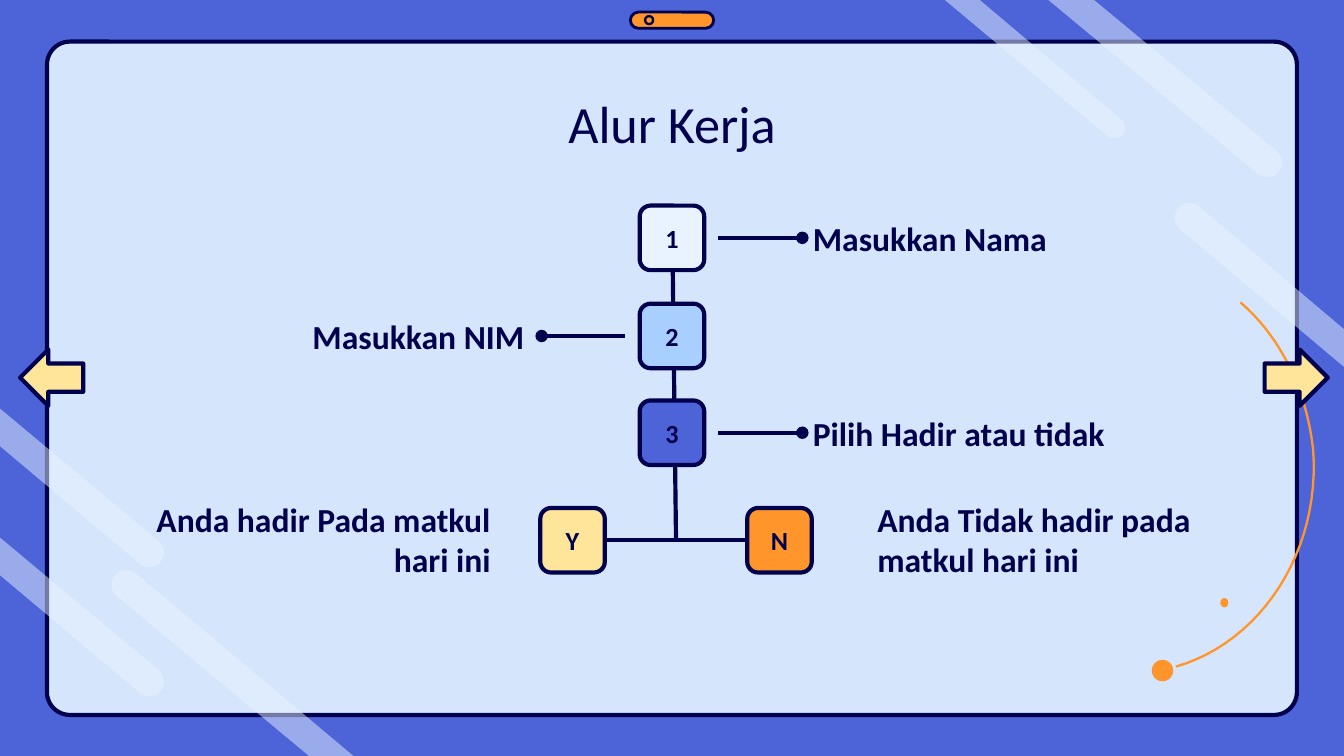
from dataclasses import dataclass
from math import cos, radians, sin

from lxml import etree
from pptx import Presentation
from pptx.dml.color import RGBColor
from pptx.enum.shapes import MSO_CONNECTOR, MSO_SHAPE
from pptx.enum.text import MSO_ANCHOR, PP_ALIGN
from pptx.oxml.ns import qn
from pptx.util import Inches, Pt

ROUNDED, OVAL = MSO_SHAPE.ROUNDED_RECTANGLE, MSO_SHAPE.OVAL
LEFT_ARROW, RIGHT_ARROW = MSO_SHAPE.LEFT_ARROW, MSO_SHAPE.RIGHT_ARROW
STRAIGHT = MSO_CONNECTOR.STRAIGHT
LEFT, CENTER, RIGHT = PP_ALIGN.LEFT, PP_ALIGN.CENTER, PP_ALIGN.RIGHT
TOP, MIDDLE = MSO_ANCHOR.TOP, MSO_ANCHOR.MIDDLE


@dataclass(frozen=True)
class Theme:
    navy: str = "00004D"
    blue: str = "4C64D8"
    sky: str = "A8CFFF"
    panel: str = "D5E6FC"
    ice: str = "E9F3FF"
    orange: str = "FF952B"
    yellow: str = "FFE599"
    font: str = "Calibri"
    title_size: float = 28
    label_size: float = 18
    node_size: float = 14
    stroke: float = 2.25
    thin_stroke: float = 1.5
    hairline: float = 1.25


@dataclass(frozen=True)
class Stripe:
    """A slanted band: two corners on the slide edge and a round cap."""
    lower: tuple[float, float]
    upper: tuple[float, float]
    cap: tuple[float, float]
    radius: float
    turn: int  # -1 when the cap points down right, 1 when it points up left


@dataclass(frozen=True)
class Node:
    text: str
    x: float
    y: float
    fill: str


@dataclass(frozen=True)
class Label:
    text: str
    x: float
    y: float
    align: PP_ALIGN


THEME = Theme()
SLIDE_W = 10
SLIDE_H = SLIDE_W * 9 / 16
NODE = 0.48
ROWS = [1.53, 2.26, 2.98, 3.78]
ANSWER_Y = 3.77
JUNCTION = (5.03, ROWS[3] + NODE / 2)

STRIPES = [
    Stripe((7.8, 0), (8.14, 0), (9.43, 1.21), 0.11, -1),
    Stripe((7.03, 0), (7.29, 0), (8.29, 0.95), 0.08, -1),
    Stripe((2.3, SLIDE_H), (2.63, SLIDE_H), (0.94, 4.35), 0.11, 1),
    Stripe((0, 4.28), (0, 4), (1.11, 5.07), 0.11, -1),
    Stripe((0, 3.32), (0, 3.04), (1.11, 4.11), 0.11, -1),
    Stripe((SLIDE_W, 2.73), (SLIDE_W, 2.45), (8.85, 1.62), 0.11, 1),
]
NODES = [
    Node("1", 4.76, ROWS[0], THEME.ice),
    Node("2", 4.76, ROWS[1], THEME.sky),
    Node("3", 4.76, ROWS[2], THEME.blue),
    Node("Y", 4.02, ROWS[3], THEME.yellow),
    Node("N", 5.56, ROWS[3], THEME.orange),
]
LABELS = [
    Label("Masukkan Nama", 5.95, ROWS[0], LEFT),
    Label("Masukkan NIM", 0.86, ROWS[1], RIGHT),
    Label("Pilih Hadir atau tidak", 5.95, ROWS[2], LEFT),
    Label("Anda Tidak hadir pada matkul hari ini", 6.43, ANSWER_Y, LEFT),
    Label("Anda hadir Pada matkul hari ini", 0.61, ANSWER_Y, RIGHT),
]


def paint(shape, fill=None, line=None, width=THEME.stroke, alpha=None) -> None:
    shape.shadow.inherit = False
    if fill:
        shape.fill.solid()
        shape.fill.fore_color.rgb = RGBColor.from_string(fill)
        if alpha:
            color = shape.fill._xPr.find(qn("a:solidFill"))[0]
            etree.SubElement(color, qn("a:alpha"), val=str(alpha * 1000))
    else:
        shape.fill.background()
    if line:
        shape.line.color.rgb = RGBColor.from_string(line)
        shape.line.width = Pt(width)
    else:
        shape.line.fill.background()


def add_preset(slide, kind, x, y, w, h, corner=None, **style):
    shape = slide.shapes.add_shape(kind, Inches(x), Inches(y), Inches(w), Inches(h))
    if corner is not None:
        shape.adjustments[0] = corner
    paint(shape, **style)
    return shape


def add_path(slide, points: list[tuple[float, float]], close: bool, **style) -> None:
    start, *rest = [(Inches(x), Inches(y)) for x, y in points]
    builder = slide.shapes.build_freeform(*start, scale=1.0)
    builder.add_line_segments(rest, close=close)
    paint(builder.convert_to_shape(), **style)


def add_stripe(slide, stripe: Stripe) -> None:
    cx, cy = stripe.cap
    angles = [radians(130 + stripe.turn * step) for step in range(0, 181, 12)]
    cap = [(cx + stripe.radius * cos(a), cy + stripe.radius * sin(a)) for a in angles]
    add_path(slide, [stripe.lower, *cap, stripe.upper], True, fill=THEME.ice, alpha=50)


def bezier(p0, p1, p2, p3, steps: int = 24) -> list[tuple[float, float]]:
    def at(t: float, axis: int) -> float:
        u = 1 - t
        return (u**3 * p0[axis] + 3 * u * u * t * p1[axis]
                + 3 * u * t * t * p2[axis] + t**3 * p3[axis])
    return [(at(i / steps, 0), at(i / steps, 1)) for i in range(steps + 1)]


def write(shape, text: str, *, size, bold=False, align=LEFT, anchor=MIDDLE, inset=0.1) -> None:
    frame = shape.text_frame
    frame.word_wrap = True
    frame.vertical_anchor = anchor
    frame.margin_left = frame.margin_right = Inches(0.1)
    frame.margin_top = frame.margin_bottom = Inches(inset)
    paragraph = frame.paragraphs[0]
    paragraph.alignment = align
    run = paragraph.add_run()
    run.text = text
    run.font.name = THEME.font
    run.font.size = Pt(size)
    run.font.bold = bold
    run.font.color.rgb = RGBColor.from_string(THEME.navy)


def add_textbox(slide, text: str, x, y, w, h, **text_format) -> None:
    box = slide.shapes.add_textbox(Inches(x), Inches(y), Inches(w), Inches(h))
    write(box, text, **text_format)


def add_line(slide, start: tuple[float, float], end: tuple[float, float], dot=False):
    line = slide.shapes.add_connector(STRAIGHT, *map(Inches, (*start, *end)))
    line.line.color.rgb = RGBColor.from_string(THEME.navy)
    line.line.width = Pt(THEME.stroke)
    if dot:
        etree.SubElement(line.line._get_or_add_ln(), qn("a:headEnd"), type="oval")
    etree.SubElement(line._element.spPr, qn("a:effectLst"))
    return line


def add_node(slide, node: Node):
    box = add_preset(slide, ROUNDED, node.x, node.y, NODE, NODE, 0.167,
                     fill=node.fill, line=THEME.navy)
    write(box, node.text, size=THEME.node_size, bold=True, align=CENTER)
    return box


def main() -> None:
    deck = Presentation()
    deck.slide_width, deck.slide_height = Inches(SLIDE_W), Inches(SLIDE_H)
    slide = deck.slides.add_slide(deck.slide_layouts[6])
    slide.background.fill.solid()
    slide.background.fill.fore_color.rgb = RGBColor.from_string(THEME.blue)

    # Camera bar and tablet screen
    add_preset(slide, ROUNDED, 4.69, 0.09, 0.62, 0.12, 0.5,
               fill=THEME.orange, line=THEME.navy, width=THEME.thin_stroke)
    add_preset(slide, OVAL, 4.8, 0.12, 0.06, 0.06, line=THEME.navy, width=THEME.hairline)
    add_preset(slide, ROUNDED, 0.35, 0.31, 9.3, 5.01, 0.034,
               fill=THEME.panel, line=THEME.navy)

    # Light stripes and orbit
    for stripe in STRIPES:
        add_stripe(slide, stripe)
    orbit = (bezier((8.75, 4.96), (9.38, 4.78), (9.83, 4.1), (9.77, 3.34))
             + bezier((9.77, 3.34), (9.72, 2.9), (9.53, 2.51), (9.23, 2.25))[1:])
    add_path(slide, orbit, False, line=THEME.orange, width=THEME.hairline)
    add_preset(slide, OVAL, 9.08, 4.45, 0.06, 0.07, fill=THEME.orange)
    add_preset(slide, OVAL, 8.57, 4.91, 0.16, 0.16, fill=THEME.orange)

    # Title and step labels
    add_textbox(slide, "Alur Kerja", 0.79, 0.58, 8.42, 0.63,
                size=THEME.title_size, align=CENTER, anchor=TOP)
    for label in LABELS:
        add_textbox(slide, label.text, label.x, label.y, 3.14, NODE,
                    size=THEME.label_size, bold=True, align=label.align, inset=0)

    # Lines lie under the nodes
    for row, dot_x, inner_x in zip(ROWS, (5.97, 4.03, 5.97), (5.34, 4.65, 5.34)):
        y = row + NODE / 2
        add_line(slide, (dot_x, y), (inner_x, y), dot=True)
    trunk = add_line(slide, (5, ROWS[0]), JUNCTION)
    yes_branch = add_line(slide, (4.5, JUNCTION[1]), JUNCTION)
    no_branch = add_line(slide, (5.56, JUNCTION[1]), JUNCTION)

    # Nodes, joined to their lines
    first, _, _, yes, no = [add_node(slide, node) for node in NODES]
    trunk.begin_connect(first, 0)
    yes_branch.begin_connect(yes, 3)
    no_branch.begin_connect(no, 1)

    # Navigation arrows
    for kind, x in ((LEFT_ARROW, 0.15), (RIGHT_ARROW, 9.41)):
        add_preset(slide, kind, x, 2.6, 0.47, 0.42, fill=THEME.yellow, line=THEME.navy)

    deck.save("out.pptx")


if __name__ == "__main__":
    main()
